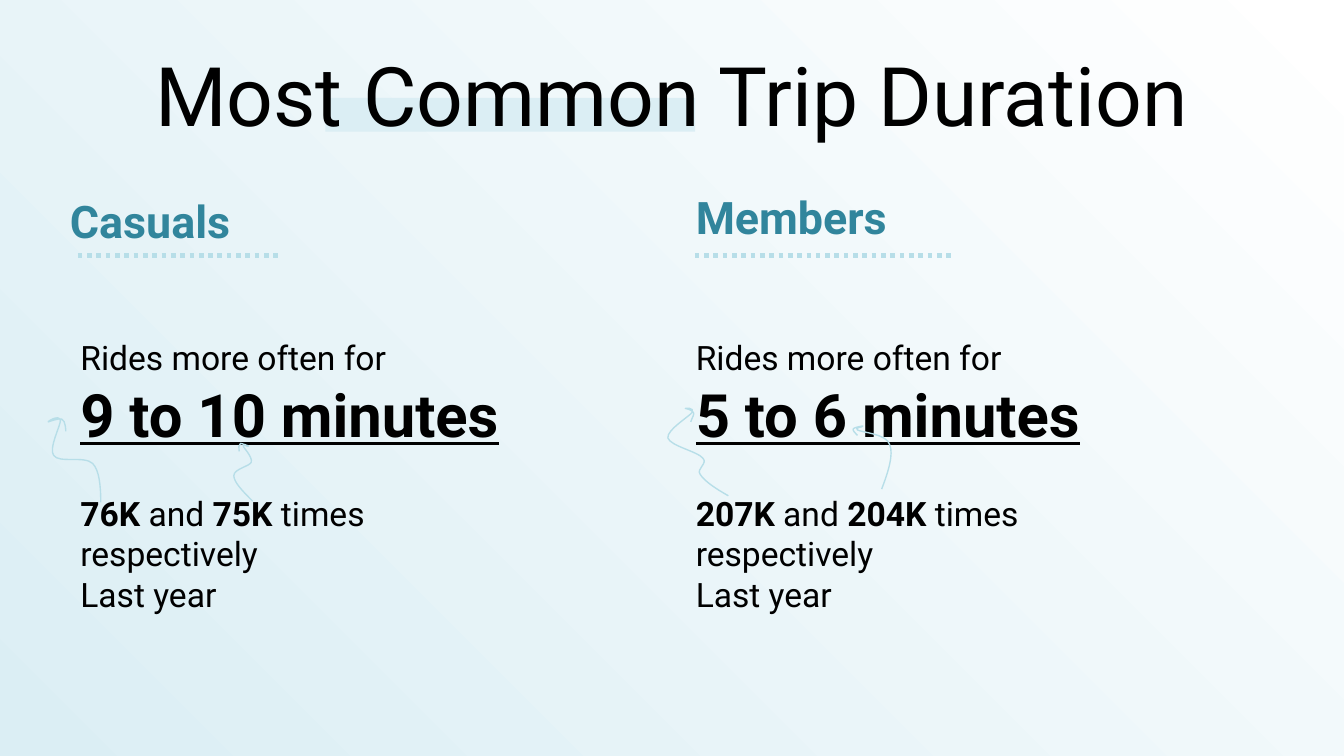
from lxml import etree
from pptx import Presentation
from pptx.dml.color import RGBColor
from pptx.enum.dml import MSO_LINE
from pptx.enum.shapes import MSO_CONNECTOR, MSO_SHAPE
from pptx.enum.text import MSO_ANCHOR, MSO_AUTO_SIZE, PP_ALIGN
from pptx.oxml.ns import qn
from pptx.util import Cm, Pt

STRAIGHT = MSO_CONNECTOR.STRAIGHT
RECTANGLE = MSO_SHAPE.RECTANGLE
ROUND_DOT = MSO_LINE.ROUND_DOT
MIDDLE, BOTTOM, TOP = MSO_ANCHOR.MIDDLE, MSO_ANCHOR.BOTTOM, MSO_ANCHOR.TOP
CENTER = PP_ALIGN.CENTER
GROW = MSO_AUTO_SIZE.SHAPE_TO_FIT_TEXT

FONT = "Roboto"
BLACK = RGBColor(0x00, 0x00, 0x00)
WHITE = RGBColor(0xFF, 0xFF, 0xFF)
TEAL = RGBColor(0x31, 0x85, 0x9C)
LIGHT_BLUE = RGBColor(0xB7, 0xDE, 0xE8)
PALE_BLUE = RGBColor(0xDB, 0xEE, 0xF4)

ARROW_UNIT = Cm(0.0254)

# Start point, then three Bezier points per curve, in arrow units
ARROWS = [
    [(75, 374), (75, 362), (74, 350), (69, 345), (63, 339), (44, 345), (40, 339),
     (36, 334), (45, 317), (45, 313), (44, 308), (35, 314), (36, 314),
     (36, 314), (44, 311), (46, 312), (49, 313), (49, 321), (49, 321)],
    [(188, 373), (181, 366), (174, 359), (174, 354), (174, 349), (186, 347), (187, 344),
     (188, 340), (181, 333), (181, 332), (180, 330), (185, 333), (185, 332),
     (185, 332), (180, 330), (179, 330), (177, 331), (178, 333), (178, 336)],
    [(542, 369), (533, 364), (524, 358), (521, 353), (518, 349), (527, 345), (523, 341),
     (519, 336), (499, 332), (497, 326), (496, 320), (513, 310), (515, 307),
     (517, 303), (510, 304), (510, 304), (510, 304), (515, 305), (516, 307),
     (517, 308), (515, 311), (514, 314)],
    [(656, 364), (661, 351), (665, 338), (662, 331), (660, 323), (642, 322), (638, 320),
     (635, 318), (643, 318), (642, 317), (642, 317), (636, 318), (635, 319),
     (634, 320), (636, 322), (638, 324)],
]


def set_background(slide):
    fill = slide.background.fill
    fill.gradient()
    fill.gradient_angle = 45
    start, end = fill.gradient_stops
    start.color.rgb, end.color.rgb = PALE_BLUE, WHITE
    start.position, end.position = 0, 1
    start_color = slide.background._cSld.find(".//" + qn("a:srgbClr"))
    etree.SubElement(start_color, qn("a:alpha"), val="44000")


def add_run(paragraph, text, size, color=BLACK, bold=False, underline=False):
    run = paragraph.add_run()
    run.text = text
    font = run.font
    font.name, font.size, font.bold, font.underline = FONT, Pt(size), bold, underline
    font.color.rgb = color


def add_title(slide, text):
    title = slide.shapes.title
    title.left, title.top, title.width, title.height = Cm(1.27), Cm(0.58), Cm(22.86), Cm(2.39)
    title.text_frame.vertical_anchor = MIDDLE
    paragraph = title.text_frame.paragraphs[0]
    paragraph.alignment = CENTER
    add_run(paragraph, text, 44)


def add_title_highlight(slide):
    """Place the pale bar behind the title."""
    bar = slide.shapes.add_shape(RECTANGLE, Cm(6.15), Cm(1.85), Cm(6.99), Cm(0.64))
    bar.shadow.inherit = False
    bar.fill.solid()
    bar.fill.fore_color.rgb = PALE_BLUE
    bar.line.fill.background()
    slide.shapes._spTree.insert(2, bar._element)


def add_text_frame(slide, left, top, width, height, anchor=TOP):
    frame = slide.shapes.add_textbox(Cm(left), Cm(top), Cm(width), Cm(height)).text_frame
    frame.word_wrap = True
    frame.vertical_anchor = anchor
    return frame


def add_heading(slide, text, left, top):
    frame = add_text_frame(slide, left, top, 11.23, 1.32, BOTTOM)
    add_run(frame.paragraphs[0], text, 24, TEAL, bold=True)


def add_summary(slide, left, width, duration, first_count, second_count):
    frame = add_text_frame(slide, left, 6.25, width, 5.56)
    frame.auto_size = GROW
    add_run(frame.paragraphs[0], "Rides more often for", 18)
    add_run(frame.add_paragraph(), duration, 32, bold=True, underline=True)
    counts = frame.add_paragraph()
    counts.space_before = Pt(23.4)
    add_run(counts, first_count, 18, bold=True)
    add_run(counts, " and ", 18)
    add_run(counts, second_count, 18, bold=True)
    add_run(counts, " times respectively", 18)
    add_run(frame.add_paragraph(), "Last year", 18)


def add_dotted_rule(slide, start, end):
    y = Cm(4.83)
    rule = slide.shapes.add_connector(STRAIGHT, Cm(start), y, Cm(end), y)
    rule.line.color.rgb = LIGHT_BLUE
    rule.line.width = Pt(2.5)
    rule.line.dash_style = ROUND_DOT
    etree.SubElement(rule._element.spPr, qn("a:effectLst"))


def add_curved_arrow(slide, points):
    """Draw the points as a freeform, then turn each three segments into one curve."""
    builder = slide.shapes.build_freeform(*points[0], scale=ARROW_UNIT)
    builder.add_line_segments(points[1:], close=False)
    arrow = builder.convert_to_shape()
    arrow.shadow.inherit = False
    arrow.fill.background()
    arrow.line.color.rgb = LIGHT_BLUE
    arrow.line.width = Pt(0.75)
    outline = arrow._element.find(".//" + qn("a:path"))
    segments = outline.findall(qn("a:lnTo"))
    for i in range(0, len(segments), 3):
        curve = etree.SubElement(outline, qn("a:cubicBezTo"))
        for segment in segments[i:i + 3]:
            curve.append(segment[0])
            outline.remove(segment)


def main():
    prs = Presentation()
    prs.slide_width, prs.slide_height = Cm(25.4), Cm(14.29)
    slide = prs.slides.add_slide(prs.slide_layouts[5])
    set_background(slide)
    add_title(slide, "Most Common Trip Duration")
    add_title_highlight(slide)
    add_heading(slide, "Casuals", 1.07, 3.48)
    add_heading(slide, "Members", 12.9, 3.4)
    add_summary(slide, 1.27, 9.32, "9 to 10 minutes", "76K", "75K")
    add_summary(slide, 12.9, 9.86, "5 to 6 minutes", "207K", "204K")
    add_dotted_rule(slide, 1.47, 5.28)
    add_dotted_rule(slide, 13.13, 17.98)
    for points in ARROWS:
        add_curved_arrow(slide, points)
    prs.save("out.pptx")


if __name__ == "__main__":
    main()
